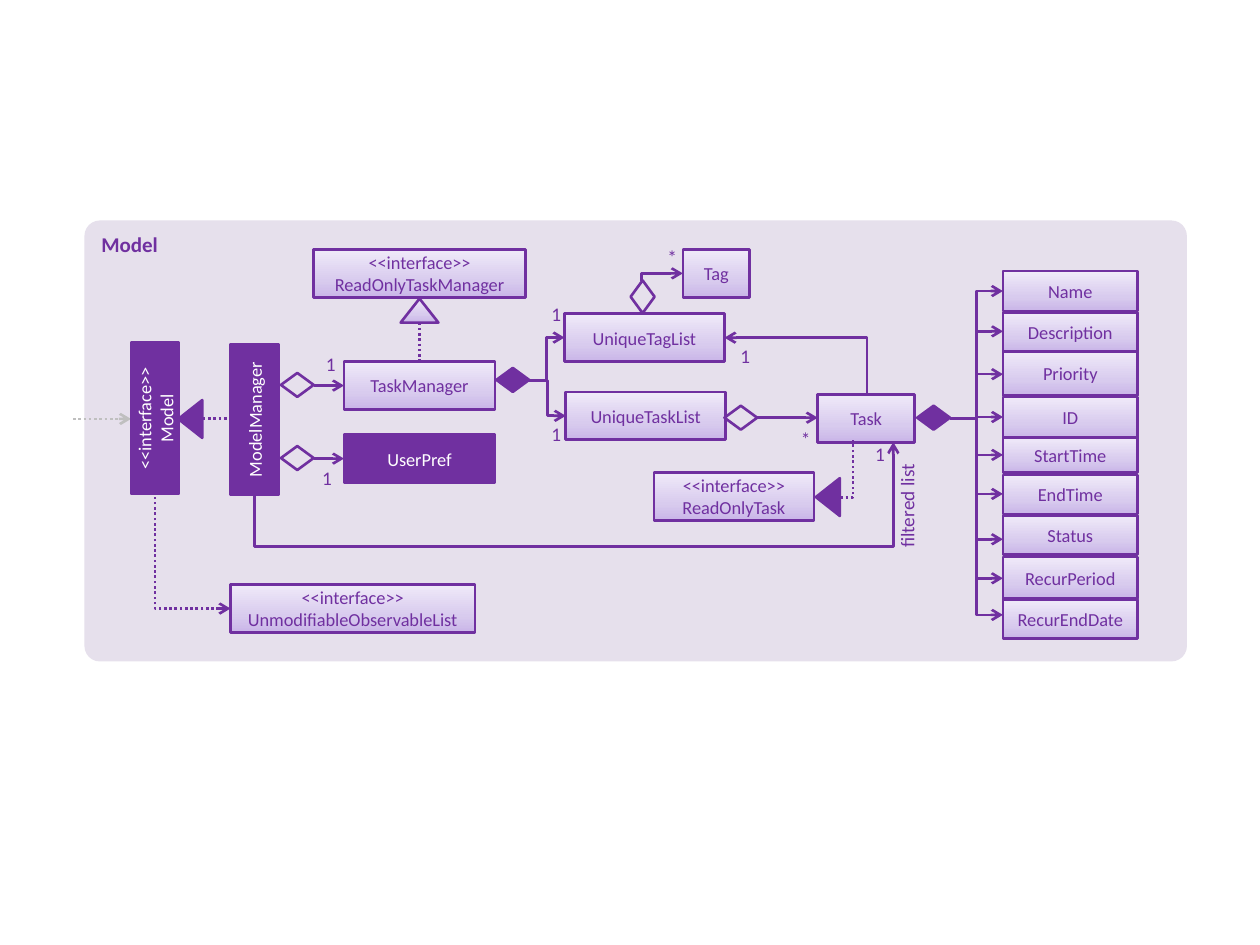
from copy import deepcopy
from dataclasses import dataclass

from pptx import Presentation
from pptx.dml.color import RGBColor
from pptx.enum.dml import MSO_LINE
from pptx.enum.shapes import MSO_CONNECTOR, MSO_SHAPE
from pptx.enum.text import MSO_ANCHOR, MSO_AUTO_SIZE, PP_ALIGN
from pptx.oxml.ns import qn
from pptx.oxml.xmlchemy import OxmlElement
from pptx.util import Inches, Pt

RECT, ROUND = MSO_SHAPE.RECTANGLE, MSO_SHAPE.ROUNDED_RECTANGLE
KITE, TIP = MSO_SHAPE.FLOWCHART_DECISION, MSO_SHAPE.ISOSCELES_TRIANGLE
LINE, ELBOW = MSO_CONNECTOR.STRAIGHT, MSO_CONNECTOR.ELBOW
LEFT, MID, RIGHT = PP_ALIGN.LEFT, PP_ALIGN.CENTER, PP_ALIGN.RIGHT
TOP, CENTRE = MSO_ANCHOR.TOP, MSO_ANCHOR.MIDDLE
GROW, DOTS = MSO_AUTO_SIZE.SHAPE_TO_FIT_TEXT, MSO_LINE.ROUND_DOT
COLS = 100


@dataclass(frozen=True)
class Theme:
    """Colours, font and sizes of the diagram."""
    ink: str = "7030A0"
    panel: str = "E6E0EC"
    pale: str = "BFBFBF"
    white: str = "FFFFFF"
    fade: tuple = ((0, "C9B5E8"), (0.35, "D8CBEE"), (1, "F0EAF9"))
    font: str = "Calibri"
    head: float = 12
    body: float = 10.5
    note: float = 11
    line: float = 1.5


THEME = Theme()
FIELDS = (
    ("Name", 1.5, 3.2, 3.1), ("Description", 4.8, 3.1, 6.3),
    ("Priority", 7.9, 3.5, 9.7), ("ID", 11.5, 3.3, 13.1),
    ("StartTime", 14.7, 2.8, 16.1), ("EndTime", 17.7, 3.1, 19.2),
    ("Status", 20.9, 3.1, 22.8), ("RecurPeriod", 24.2, 3.3, 25.9),
    ("RecurEndDate", 27.6, 3.1, 28.8),
)


@dataclass
class Box:
    """A region of the slide, measured in columns and rows from its corner."""
    slide: object
    cell: int
    left: float
    top: float

    def spot(self, x, y):
        """Turn a column and row into a slide position."""
        return round((self.left + x) * self.cell), round((self.top + y) * self.cell)

    def size(self, w, h):
        """Turn columns and rows into lengths."""
        return round(w * self.cell), round(h * self.cell)


def write(frame, text, size, hue, align=MID, bold=False):
    """Write paragraphs, with line breaks inside them, run by run."""
    paras = (text,) if isinstance(text, str) else text
    for i, para in enumerate(paras):
        p = frame.add_paragraph() if i else frame.paragraphs[0]
        p.alignment = align
        for j, part in enumerate(para.split("\n")):
            if j:
                p.add_line_break()
            run = p.add_run()
            run.text = part
            run.font.name, run.font.size, run.font.bold = THEME.font, Pt(size), bold
            run.font.color.rgb = RGBColor.from_string(hue)


def paint(shape, look):
    """Give a shape a solid, faded or open fill and the ink outline."""
    shape.shadow.inherit = False
    shape.line.color.rgb = RGBColor.from_string(THEME.ink)
    shape.line.width = Pt(THEME.line)
    fill = shape.fill
    if look == "solid":
        fill.solid()
        fill.fore_color.rgb = RGBColor.from_string(THEME.ink)
    elif look == "open":
        fill.background()
    else:
        fill.gradient()
        fill.gradient_angle = 90
        stops = shape._element.spPr.find(".//" + qn("a:gsLst"))
        stops.insert(1, deepcopy(stops[0]))
        for stop, (place, hue) in zip(fill.gradient_stops, THEME.fade):
            stop.position = place
            stop.color.rgb = RGBColor.from_string(hue)


def mark(box, x, y, w, h, kind=RECT, look="fade", turn=0):
    """Place a painted shape."""
    shape = box.slide.shapes.add_shape(kind, *box.spot(x, y), *box.size(w, h))
    shape.rotation = turn
    paint(shape, look)
    return shape


def node(box, text, x, y, w, h=3.8, look="fade", turn=0):
    """Place a class box with its name."""
    frame = mark(box, x, y, w, h, RECT, look, turn).text_frame
    frame.vertical_anchor = CENTRE
    write(frame, text, THEME.body, THEME.white if look == "solid" else THEME.ink)


def kite(box, x, y, look="open", turn=0):
    """Place a diamond for a whole-part link."""
    mark(box, x, y, 2.6, 1.9, KITE, look, turn)


def tip(box, x, y, look="solid", turn=270):
    """Place a triangle for an interface link."""
    mark(box, x, y, 3, 1.9, TIP, look, turn)


def link(box, start, end, kind=LINE, end_at="tail", dots=False, hue=THEME.ink, form=None):
    """Draw a connector, with an arrow at its head, its tail or neither."""
    wire = box.slide.shapes.add_connector(kind, *box.spot(*start), *box.spot(*end))
    wire.line.color.rgb = RGBColor.from_string(hue)
    wire.line.width = Pt(THEME.line)
    if dots:
        wire.line.dash_style = DOTS
    spot = wire._element.spPr
    if form:
        spot.find(qn("a:prstGeom")).set("prst", form)
    if end_at:
        arrow = OxmlElement(f"a:{end_at}End")
        arrow.set("type", "arrow")
        spot.find(qn("a:ln")).append(arrow)
    spot.append(OxmlElement("a:effectLst"))
    return wire


def bend(box, start, end, end_at="head", dots=False):
    """Draw a one-corner connector that leaves its start sideways."""
    link(box, start, end, ELBOW, end_at, dots, form="bentConnector2")


def loop(box, start, end, turn, bends):
    """Draw a three-corner connector, turned and bent by the given shares."""
    wire = link(box, start, end, ELBOW, form="bentConnector4")
    wire._element.spPr.find(qn("a:xfrm")).set("rot", str(turn * 60000))
    guides = wire._element.spPr.find(qn("a:prstGeom")).get_or_add_avLst()
    for i, share in enumerate(bends, 1):
        guide = OxmlElement("a:gd")
        guide.set("name", f"adj{i}")
        guide.set("fmla", f"val {round(share * 100000)}")
        guides.append(guide)


def count(box, text, x, y):
    """Place a multiplicity label."""
    frame = box.slide.shapes.add_textbox(*box.spot(x, y), *box.size(2.1, 2)).text_frame
    frame.word_wrap = True
    frame.margin_left = frame.margin_right = frame.margin_top = frame.margin_bottom = 0
    write(frame, text, THEME.note, THEME.ink)


def panel(box):
    """Place the rounded ground with its heading."""
    shape = mark(box, 0, 0, 87.5, 35, ROUND)
    shape.adjustments[0] = 0.035
    shape.fill.solid()
    shape.fill.fore_color.rgb = RGBColor.from_string(THEME.panel)
    shape.line.fill.background()
    shape.text_frame.vertical_anchor = TOP
    write(shape.text_frame, "Model", THEME.head, THEME.ink, LEFT, True)


def core(box):
    """Place the model, its manager and what the manager holds."""
    link(box, (0.8, 13.25), (5.4, 13.25), dots=True, hue=THEME.pale)
    node(box, ("<<interface>>", "Model"), 1.3, 11.3, 12, look="solid", turn=270)
    node(box, "ModelManager", 9.2, 11.4, 12, look="solid", turn=270)
    tip(box, 8.6, 12.3)
    link(box, (11.1, 13.2), (13.4, 13.2), end_at=None, dots=True)
    for name, look, y, label in (
        ("TaskManager", "fade", 8.7, (20.2, 8)),
        ("UserPref", "solid", 14.5, (19.9, 17)),
    ):
        node(box, name, 22.3, y, 12, look=look)
        kite(box, 17.3, y + 0.9)
        link(box, (19.9, y + 1.9), (22.3, y + 1.9))
        count(box, "1", *label)
    link(box, (28.3, 5.6), (28.3, 8.8), end_at=None, dots=True)
    tip(box, 26.8, 3.7, "fade", 0)
    node(box, "<<interface>>\nReadOnlyTaskManager", 19.9, -0.2, 16.8)
    node(box, "<<interface>>\nUnmodifiableObservableList", 13.3, 26.4, 19.4)
    bend(box, (13.3, 28.3), (7.3, 19.2), dots=True)


def lists(box):
    """Place the tag and task lists, and the tag."""
    kite(box, -0.6, 9.2, "solid")
    for name, x, y, label in (
        ("UniqueTaskList", 4.9, 11.1, 13.5), ("UniqueTagList", 4.8, 4.9, 4),
    ):
        node(box, name, x, y, 12.7)
        link(box, (2, 10.2), (x, y + 1.9), ELBOW)
        count(box, "1", 3.1, label)
    node(box, "Tag", 14.2, -0.2, 5.3)
    kite(box, 9.7, 2.6, turn=270)
    bend(box, (14.2, 1.7), (10.9, 2.3))
    count(box, "*", 12.3, -0.5)


def task(box):
    """Place the task with its interface and the links that reach it."""
    node(box, "Task", 14.9, 1.3, 7.7)
    kite(box, 7.5, 2.2)
    link(box, (10.1, 3.15), (14.9, 3.15))
    node(box, "<<interface>>\nReadOnlyTask", 1.9, 7.5, 12.7)
    tip(box, 14.2, 8.5)
    bend(box, (16.7, 9.5), (17.7, 4.9), None, True)
    bend(box, (7.5, -3.2), (18.8, 1.3))
    loop(box, (-2.4, 32.5), (-6.5, -18.2), 90, (-1.02, 1))
    for text, x, y in (("1", 8.1, -2.7), ("*", 12.9, 3.9), ("1", 18.8, 5.1)):
        count(box, text, x, y)
    note = box.slide.shapes.add_textbox(*box.spot(17.2, 9.2), *box.size(9.6, 2.9))
    note.rotation = 270
    note.text_frame.word_wrap = True
    note.text_frame.auto_size = GROW
    write(note.text_frame, "filtered list", THEME.note, THEME.ink, RIGHT)


def fields(box):
    """Place the column of task fields and the tree that leads to it."""
    kite(box, 2.8, 12.2, "solid")
    for i, (name, y, h, end) in enumerate(FIELDS):
        node(box, name, 9.6, y, 10.7, h)
        if 0 < i < 5:
            link(box, (5.4, 13.2), (9.6, end), ELBOW)
        else:
            bend(box, (9.6, end), (7.5, end - 5.9 if i else end + 5.2))


def main():
    """Build the slide and save it."""
    deck = Presentation()
    deck.slide_width, deck.slide_height = Inches(10), Inches(7.5)
    slide = deck.slides.add_slide(deck.slide_layouts[6])
    cell = deck.slide_width // COLS
    for part, left, top in (
        (panel, 6.7, 17.5), (core, 5, 20), (lists, 40, 20),
        (task, 50, 30), (fields, 70, 20),
    ):
        part(Box(slide, cell, left, top))
    deck.save("out.pptx")


if __name__ == "__main__":
    main()
